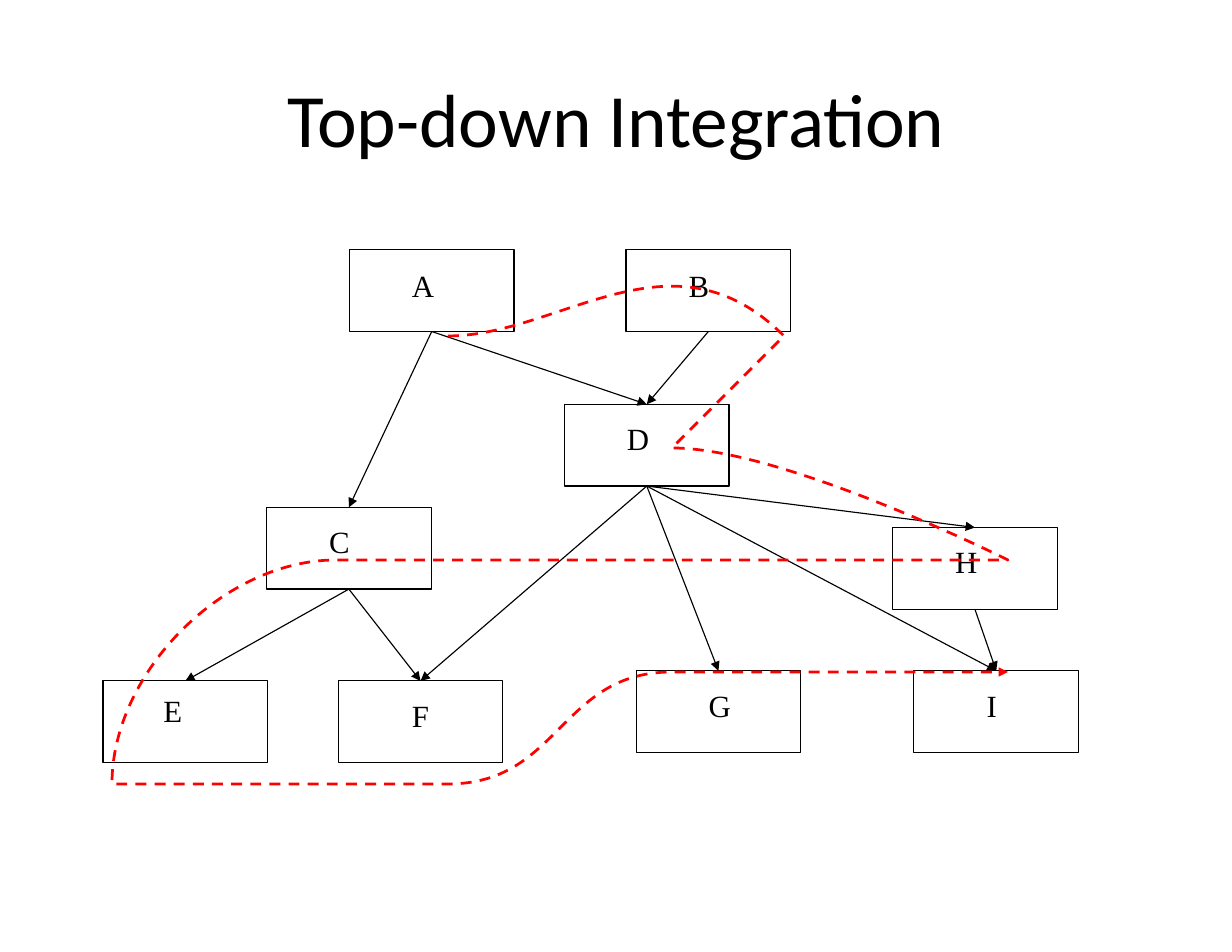
"""Build the top-down integration slide: a module hierarchy with its integration order."""
import pptx
import pptx.dml.color
import pptx.enum.dml
import pptx.enum.shapes
import pptx.enum.text
import pptx.oxml
import pptx.oxml.ns
import pptx.util
from pptx.util import Inches, Pt

BLACK = pptx.dml.color.RGBColor(0, 0, 0)
RED = pptx.dml.color.RGBColor(255, 0, 0)

TITLE = "Top-down Integration"
BOX_WIDTH, BOX_HEIGHT = 1.47, 0.73
LABEL_HEIGHT = 0.43

# name: (box left, box top, label offset x, label offset y, label width)
MODULES = {
    "A": (3.12, 2.23, 0.46, 0.1, 0.4),
    "B": (5.59, 2.23, 0.46, 0.1, 0.39),
    "C": (2.38, 4.53, 0.46, 0.09, 0.39),
    "D": (5.04, 3.61, 0.46, 0.09, 0.4),
    "E": (0.92, 6.08, 0.44, 0.05, 0.37),
    "F": (3.02, 6.08, 0.56, 0.09, 0.36),
    "G": (5.68, 5.99, 0.55, 0.09, 0.4),
    "H": (7.97, 4.71, 0.46, 0.09, 0.4),
    "I": (8.16, 5.99, 0.55, 0.09, 0.29),
}
CALLS = ["AC", "AD", "BD", "CE", "CF", "DF", "DG", "DH", "DI", "HI"]
ORDER_START = (4.03, 2.69)
ORDER_CURVES = [
    [(5.1, 2.58), (6.16, 2.48), (6.51, 2.69)],
    [(6.86, 2.91), (5.74, 3.58), (6.14, 3.98)],
    [(6.54, 4.37), (9.43, 4.91), (8.89, 5.08)],
    [(8.36, 5.24), (4.23, 4.74), (2.93, 4.98)],
    [(1.63, 5.23), (0.98, 6.27), (1.1, 6.54)],
    [(1.22, 6.82), (2.8, 6.65), (3.67, 6.63)],
    [(4.54, 6.62), (5.48, 6.48), (6.33, 6.45)],
    [(7.17, 6.42), (7.94, 6.43), (8.71, 6.45)],
]


def element(tag, **attributes):
    node = pptx.oxml.parse_xml(f"<{tag} {pptx.oxml.ns.nsdecls('a')}/>")
    for name, value in attributes.items():
        node.set(name, value)
    return node


def style_line(shape, color, width):
    shape.line.color.rgb = color
    shape.line.width = Pt(width)


def add_arrowhead(shape):
    shape.line._get_or_add_ln().append(element("a:tailEnd", type="triangle"))


def style_text(text_frame, font_name, size):
    for run in text_frame.paragraphs[0].runs:
        run.font.name = font_name
        run.font.size = Pt(size)
        run.font.color.rgb = BLACK


def add_title(slide):
    title = slide.shapes.title
    title.left, title.top = Inches(0.55), Inches(0.34)
    title.width, title.height = Inches(9.9), Inches(1.42)
    text_frame = title.text_frame
    text_frame.text = TITLE
    text_frame.auto_size = pptx.enum.text.MSO_AUTO_SIZE.NONE
    text_frame.vertical_anchor = pptx.enum.text.MSO_ANCHOR.MIDDLE
    text_frame.paragraphs[0].alignment = pptx.enum.text.PP_ALIGN.CENTER
    style_text(text_frame, "Calibri", 48.4)


def add_module(slide, name):
    left, top, offset_x, offset_y, label_width = MODULES[name]
    box = slide.shapes.add_shape(
        pptx.enum.shapes.MSO_SHAPE.RECTANGLE,
        Inches(left), Inches(top), Inches(BOX_WIDTH), Inches(BOX_HEIGHT))
    box.shadow.inherit = False
    box.fill.background()
    style_line(box, BLACK, 0.75)
    label = slide.shapes.add_textbox(
        Inches(left + offset_x), Inches(top + offset_y),
        Inches(label_width), Inches(LABEL_HEIGHT))
    label.text_frame.text = name
    label.text_frame.word_wrap = False
    label.text_frame.auto_size = pptx.enum.text.MSO_AUTO_SIZE.SHAPE_TO_FIT_TEXT
    style_text(label.text_frame, "Times New Roman", 19.8)
    return box


def add_call(slide, caller, callee):
    connector = slide.shapes.add_connector(
        pptx.enum.shapes.MSO_CONNECTOR.STRAIGHT, 0, 0, 0, 0)
    connector.begin_connect(caller, 2)
    connector.end_connect(callee, 0)
    style_line(connector, BLACK, 0.75)
    add_arrowhead(connector)
    connector._element.spPr.append(element("a:effectLst"))


def add_order_curve(slide):
    points = [point for curve in ORDER_CURVES for point in curve]
    builder = slide.shapes.build_freeform(*ORDER_START, scale=Inches(1))
    builder.add_line_segments(points, close=False)
    curve = builder.convert_to_shape()
    segments = curve._element.findall(".//" + pptx.oxml.ns.qn("a:lnTo"))
    outline = segments[0].getparent()
    for first in range(0, len(segments), 3):
        bezier = element("a:cubicBezTo")
        for segment in segments[first:first + 3]:
            bezier.append(segment[0])
            outline.remove(segment)
        outline.append(bezier)
    curve.shadow.inherit = False
    curve.fill.background()
    style_line(curve, RED, 1.75)
    curve.line.dash_style = pptx.enum.dml.MSO_LINE.DASH
    add_arrowhead(curve)


def main():
    presentation = pptx.Presentation()
    presentation.slide_width = Inches(11)
    presentation.slide_height = Inches(8.5)
    slide = presentation.slides.add_slide(presentation.slide_layouts[5])
    add_title(slide)
    boxes = {name: add_module(slide, name) for name in MODULES}
    for caller, callee in CALLS:
        add_call(slide, boxes[caller], boxes[callee])
    add_order_curve(slide)
    presentation.save("out.pptx")


if __name__ == "__main__":
    main()
